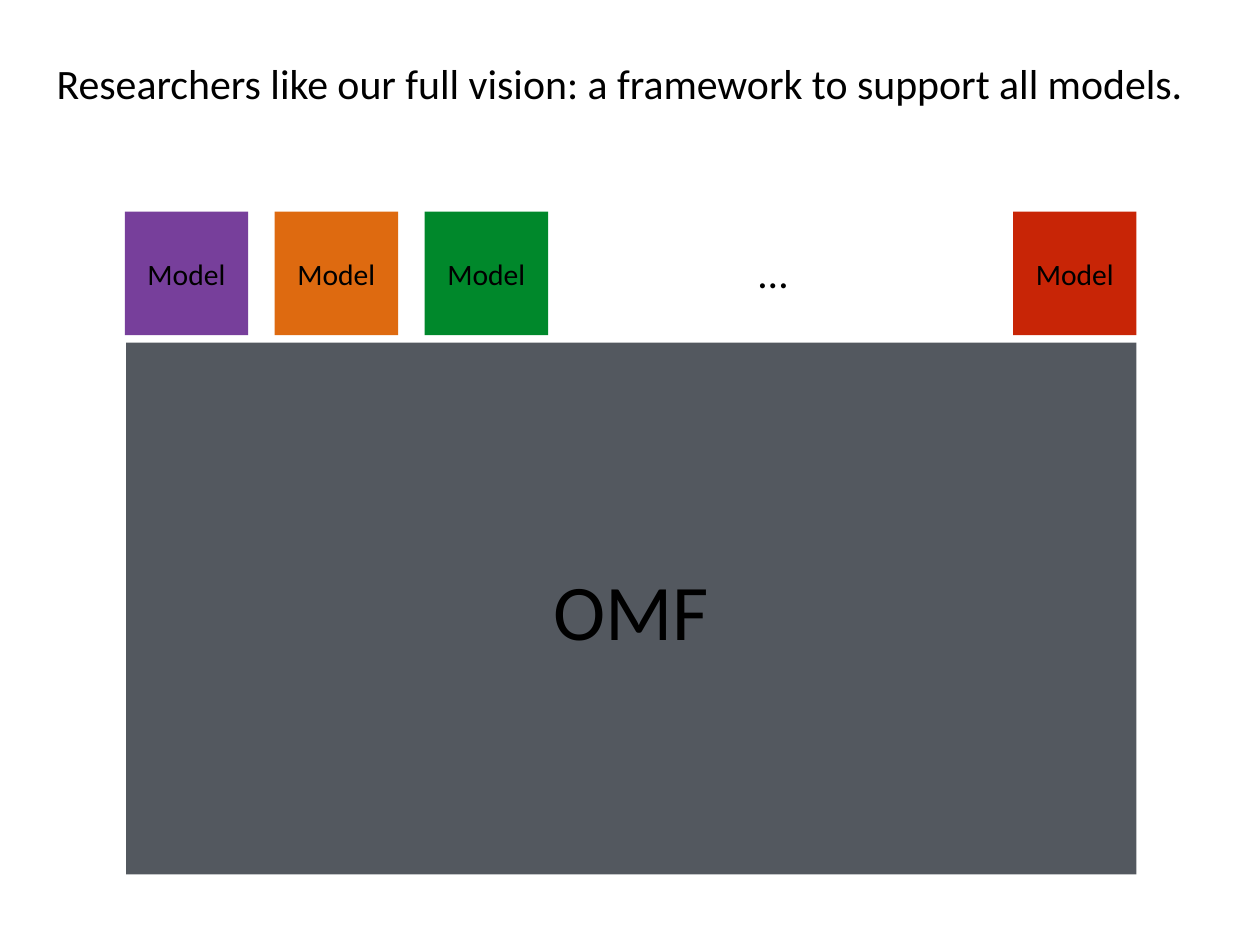
import pptx
import pptx.util
from pptx.dml.color import RGBColor
from pptx.enum.shapes import MSO_SHAPE
from pptx.enum.text import MSO_ANCHOR, MSO_AUTO_SIZE, PP_ALIGN
from pptx.util import Inches

BLACK = RGBColor(0x00, 0x00, 0x00)
SLATE = RGBColor(0x53, 0x58, 0x5F)
PURPLE = RGBColor(0x77, 0x3F, 0x9B)
ORANGE = RGBColor(0xDE, 0x6A, 0x10)
GREEN = RGBColor(0x00, 0x88, 0x2B)
RED = RGBColor(0xC8, 0x25, 0x06)

# Content
TITLE = "Researchers like our full vision: a framework to support all models."
FRAMEWORK = "OMF"
MODEL = "Model"
FIRST_MODELS = [PURPLE, ORANGE, GREEN]
LAST_MODEL = RED
MORE = "…"

# Layout, in inches
FRAMEWORK_BOX = (1, 2.72, 8.02, 4.22)
MODEL_LEFT, MODEL_TOP, MODEL_SIZE, MODEL_PITCH = 0.99, 1.68, 0.98, 1.19
LAST_LEFT = FRAMEWORK_BOX[0] + FRAMEWORK_BOX[2] - MODEL_SIZE


def write_text(shape, text, size, align=PP_ALIGN.LEFT, inset=0.04):
    frame = shape.text_frame
    frame.word_wrap = True
    frame.auto_size = MSO_AUTO_SIZE.NONE
    frame.vertical_anchor = MSO_ANCHOR.MIDDLE
    frame.margin_left = frame.margin_right = Inches(inset)
    frame.margin_top = frame.margin_bottom = Inches(inset)
    paragraph = frame.paragraphs[0]
    paragraph.alignment = align
    paragraph.line_spacing = 1.0
    paragraph.space_before = pptx.util.Pt(0)
    run = paragraph.add_run()
    run.text = text
    run.font.name = "Calibri"
    run.font.size = pptx.util.Pt(size)
    run.font.color.rgb = BLACK


def add_block(slide, box, color, text, size):
    shape = slide.shapes.add_shape(MSO_SHAPE.RECTANGLE, *map(Inches, box))
    shape.shadow.inherit = False
    shape.fill.solid()
    shape.fill.fore_color.rgb = color
    shape.line.fill.background()
    write_text(shape, text, size, align=PP_ALIGN.CENTER, inset=0)


def main():
    presentation = pptx.Presentation()
    presentation.slide_width = Inches(10)
    presentation.slide_height = Inches(7.5)
    slide = presentation.slides.add_slide(presentation.slide_layouts[5])

    # Title
    title = slide.shapes.title
    title.left, title.top = Inches(0.41), Inches(0.42)
    title.width, title.height = Inches(9.19), Inches(0.48)
    write_text(title, TITLE, 23.9)

    # Framework under the row of models
    add_block(slide, FRAMEWORK_BOX, SLATE, FRAMEWORK, 45)
    models = [(MODEL_LEFT + index * MODEL_PITCH, color)
              for index, color in enumerate(FIRST_MODELS)]
    for left, color in models + [(LAST_LEFT, LAST_MODEL)]:
        add_block(slide, (left, MODEL_TOP, MODEL_SIZE, MODEL_SIZE),
                  color, MODEL, 16.9)

    # Ellipsis for the models in between
    more = slide.shapes.add_textbox(
        Inches(5.98), Inches(1.92), Inches(0.31), Inches(0.48))
    write_text(more, MORE, 23.9)

    presentation.save("out.pptx")


if __name__ == "__main__":
    main()
